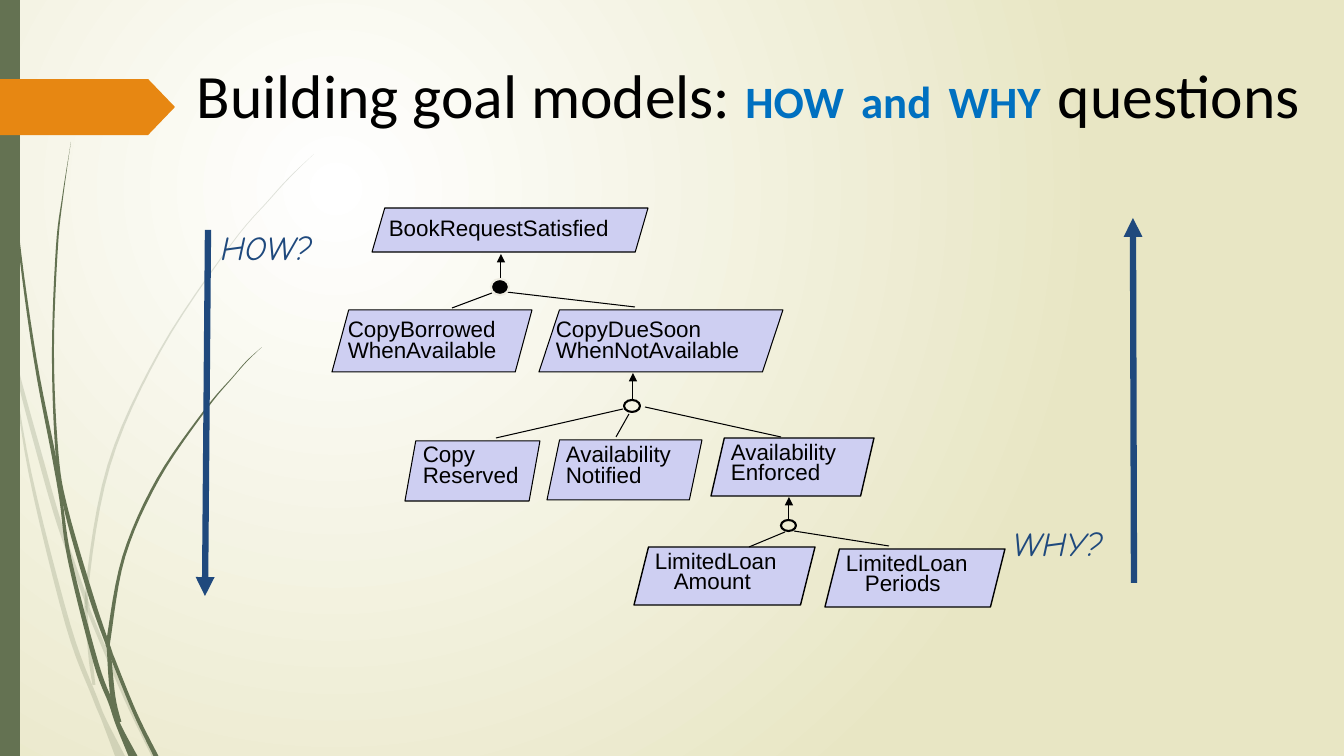
from dataclasses import dataclass

from lxml import etree
from pptx import Presentation
from pptx.dml.color import RGBColor
from pptx.enum import shapes, text
from pptx.oxml.ns import qn
from pptx.util import Emu, Pt

EMU_PER_PX = 914400 / 100.8


@dataclass(frozen=True)
class Theme:
    black: str = "000000"
    white: str = "FFFFFF"
    sand: str = "E8E6C4"
    moss: str = "647252"
    orange: str = "E78712"
    lilac: str = "CECFF2"
    cream: str = "EEECE1"
    navy: str = "1F497D"
    blue: str = "0070C0"
    title: int = 44
    keyword: int = 32
    gap: int = 54
    question: int = 24
    goal: int = 16


T = Theme()

# Grass blades as knots: x, y, width
PALE_BLADES = [
    [(0, 284, 0), (2, 301, 4), (7, 325, 4), (13, 351, 4), (19, 379, 4), (39, 453, 5),
     (60, 526, 5), (86, 600, 4), (90, 614, 4), (126, 699, 4), (154, 756, 5)],
    [(11, 353, 0), (30, 473, 3), (68, 625, 5), (95, 698, 5), (104, 720, 5), (120, 756, 10)],
    [(314, 154, 0), (291, 176, 1), (270, 199, 1), (230, 246, 1), (160, 351, 2),
     (109, 465, 3), (87, 589, 3), (90, 651, 4), (94, 685, 3)],
]
DARK_BLADES = [
    [(3, 0, 1), (5, 48, 1), (8, 110, 1), (18, 234, 2), (35, 358, 3), (54, 457, 4),
     (61, 500, 3), (70, 561, 4), (96, 663, 5), (111, 703, 5), (118, 724, 5), (133, 756, 9)],
    [(71, 142, 0), (63, 195, 1), (57, 247, 2), (53, 352, 2), (57, 453, 3), (66, 509, 4),
     (91, 596, 5), (109, 648, 4), (113, 659, 4), (135, 713, 4), (156, 756, 5)],
    [(262, 347, 0), (247, 361, 1), (233, 377, 1), (206, 409, 2), (158, 479, 3),
     (124, 556, 3), (109, 637, 4), (109, 651, 4), (113, 697, 5), (120, 722, 3)],
]

# Goals: box, slant, text offset, line spacing, outline width, lines of text
GOALS = [
    ((372, 208, 276, 44), 0.29, (7, 1), 1.0, 0.75, ["BookRequestSatisfied"]),
    ((332, 310, 200, 62), 0.27, (6, 5), 0.8, 0.75, ["CopyBorrowed", "WhenAvailable"]),
    ((539, 310, 244, 62), 0.33, (7, 5), 0.8, 0.75, ["CopyDueSoon", "WhenNotAvailable"]),
    ((405, 441, 135, 60), 0.18, (8, -1), 0.8, 0.75, ["Copy", "Reserved"]),
    ((547, 440, 155, 60), 0.21, (9, 0), 0.8, 0.75, ["Availability", "Notified"]),
    ((711, 438, 163, 58), 0.23, (10, 1), 0.75, 1, ["Availability", "Enforced"]),
    ((634, 547, 181, 58), 0.25, (11, 1), 0.75, 1, ["LimitedLoan", "Amount"]),
    ((825, 549, 180, 58), 0.25, (11, 1), 0.75, 1, ["LimitedLoan", "Periods"]),
]
INDENTED = {"Amount": 19, "Periods": 19}

# Refinements: node box, node fill, node line, arrow to parent, links to children
REFINEMENTS = [
    ((491, 279, 18, 16), T.black, T.cream, (501, 279, 501, 254),
     [(506, 292, 635, 307), (492, 293, 452, 308)]),
    ((624, 400, 16, 12), None, T.black, (633, 399, 633, 373),
     [(645, 407, 781, 437), (629, 414, 616, 437), (623, 409, 496, 438)]),
    ((781, 520, 15, 11), None, T.black, (789, 519, 789, 497),
     [(785, 532, 749, 547), (794, 531, 889, 546)]),
]

TITLE_RUNS = [
    ("Building goal models: ", T.title, T.black, False),
    ("HOW", T.keyword, T.blue, True), (" ", T.gap, T.blue, True),
    ("and", T.keyword, T.blue, True), (" ", T.gap, T.blue, True),
    ("WHY", T.keyword, T.blue, True), (" ", T.gap, T.blue, True),
    ("questions", T.title, T.black, False),
]


def px(*values):
    return [Emu(round(v * EMU_PER_PX)) for v in values]


def rgb(code):
    return RGBColor.from_string(code)


def paint(sp, fill, line=None, width=0.75):
    sp.shadow.inherit = False
    if fill:
        sp.fill.solid()
        sp.fill.fore_color.rgb = rgb(fill)
    else:
        sp.fill.background()
    if line:
        sp.line.color.rgb = rgb(line)
        sp.line.width = Pt(width)
    else:
        sp.line.fill.background()


def add_preset(slide, kind, box, fill, line=None, width=0.75, adj=None):
    sp = slide.shapes.add_shape(kind, *px(*box))
    paint(sp, fill, line, width)
    if adj is not None:
        sp.adjustments[0] = adj


def add_line(slide, ends, color=T.black, width=0.75, arrow=False):
    cx = slide.shapes.add_connector(shapes.MSO_CONNECTOR.STRAIGHT, *px(*ends))
    cx.line.color.rgb = rgb(color)
    cx.line.width = Pt(width)
    if arrow:
        etree.SubElement(cx.line._get_or_add_ln(), qn("a:tailEnd"), type="triangle")
    etree.SubElement(cx._element.spPr, qn("a:effectLst"))


def add_text(slide, box, lines, font, size, color, spacing, italic=False):
    tf = slide.shapes.add_textbox(*px(*box)).text_frame
    tf.word_wrap = True
    for i, line in enumerate(lines):
        p = tf.paragraphs[0] if i == 0 else tf.add_paragraph()
        p.text = line
        p.line_spacing = spacing
        if line in INDENTED:
            p._p.get_or_add_pPr().set("marL", str(px(INDENTED[line])[0]))
        p.font.name, p.font.size = font, Pt(size)
        p.font.color.rgb = rgb(color)
        p.font.italic = italic


def add_title(slide):
    tf = slide.shapes.add_textbox(*px(187, 39, 1138, 90)).text_frame
    tf.word_wrap = True
    tf.vertical_anchor = text.MSO_ANCHOR.MIDDLE
    p = tf.paragraphs[0]
    p.line_spacing = 1.1
    p.font.name = "Calibri"
    for words, size, color, bold in TITLE_RUNS:
        r = p.add_run()
        r.text = words
        r.font.size, r.font.bold = Pt(size), bold
        r.font.color.rgb = rgb(color)


def smooth(knots, steps=6):
    """Catmull-Rom curve through the knots."""
    padded = [knots[0], *knots, knots[-1]]
    curve = []
    for a, b, c, d in zip(padded, padded[1:], padded[2:], padded[3:]):
        for t in (i / steps for i in range(steps)):
            curve.append([
                (2 * q + (r - p) * t + (2 * p - 5 * q + 4 * r - s) * t ** 2
                 + (3 * q - p - 3 * r + s) * t ** 3) / 2
                for p, q, r, s in zip(a, b, c, d)])
    return curve + [knots[-1]]


def add_blade(slide, knots, alpha=None):
    curve = smooth(knots)
    outline = [px(x - w / 2, y) for x, y, w in curve]
    outline += [px(x + w / 2, y) for x, y, w in reversed(curve)]
    builder = slide.shapes.build_freeform(*outline[0])
    builder.add_line_segments(outline[1:], close=True)
    sp = builder.convert_to_shape()
    paint(sp, T.moss)
    if alpha:
        color = sp._element.spPr.find(qn("a:solidFill"))[0]
        etree.SubElement(color, qn("a:alpha"), val=str(alpha * 1000))


def set_background(slide):
    fill = slide.background.fill
    fill.gradient()
    for stop, color, position in zip(fill.gradient_stops, (T.white, T.sand), (0, 1)):
        stop.color.rgb = rgb(color)
        stop.position = position
    grad = slide.element.find(".//" + qn("a:gradFill"))
    grad.remove(grad.find(qn("a:lin")))
    glow = etree.SubElement(grad, qn("a:path"), path="circle")
    etree.SubElement(glow, qn("a:fillToRect"), l="50000", t="50000", r="100000", b="100000")


def main():
    prs = Presentation()
    prs.slide_width, prs.slide_height = px(1344, 756)
    slide = prs.slides.add_slide(prs.slide_layouts[6])
    kinds = shapes.MSO_SHAPE

    # Backdrop
    set_background(slide)
    for knots in PALE_BLADES:
        add_blade(slide, knots, alpha=20)
    for knots in DARK_BLADES:
        add_blade(slide, knots)
    add_preset(slide, kinds.RECTANGLE, (0, 0, 20, 756), T.moss)
    add_preset(slide, kinds.PENTAGON, (0, 79, 175, 56), T.orange, adj=0.48)

    # Goal tree
    for box, slant, (dx, dy), spacing, width, lines in GOALS:
        add_preset(slide, kinds.PARALLELOGRAM, box, T.lilac, T.black, width, slant)
        x, y, w, h = box
        add_text(slide, (x + dx, y + dy, w - dx, h - 4), lines, "Arial", T.goal, T.black, spacing)
    for node, fill, line, arrow, links in REFINEMENTS:
        add_line(slide, arrow, arrow=True)
        for link in links:
            add_line(slide, link)
        add_preset(slide, kinds.OVAL, node, fill, line, 1.5)

    # Reading directions
    for ends, box, question in [((208, 230, 205, 596), (211, 230, 147, 40), "HOW?"),
                                ((1134, 583, 1133, 218), (1003, 526, 132, 40), "WHY?")]:
        add_line(slide, ends, T.navy, 4.5, arrow=True)
        add_text(slide, box, [question], "Comic Neue", T.question, T.navy, 0.8, italic=True)

    add_title(slide)
    prs.save("out.pptx")


if __name__ == "__main__":
    main()
